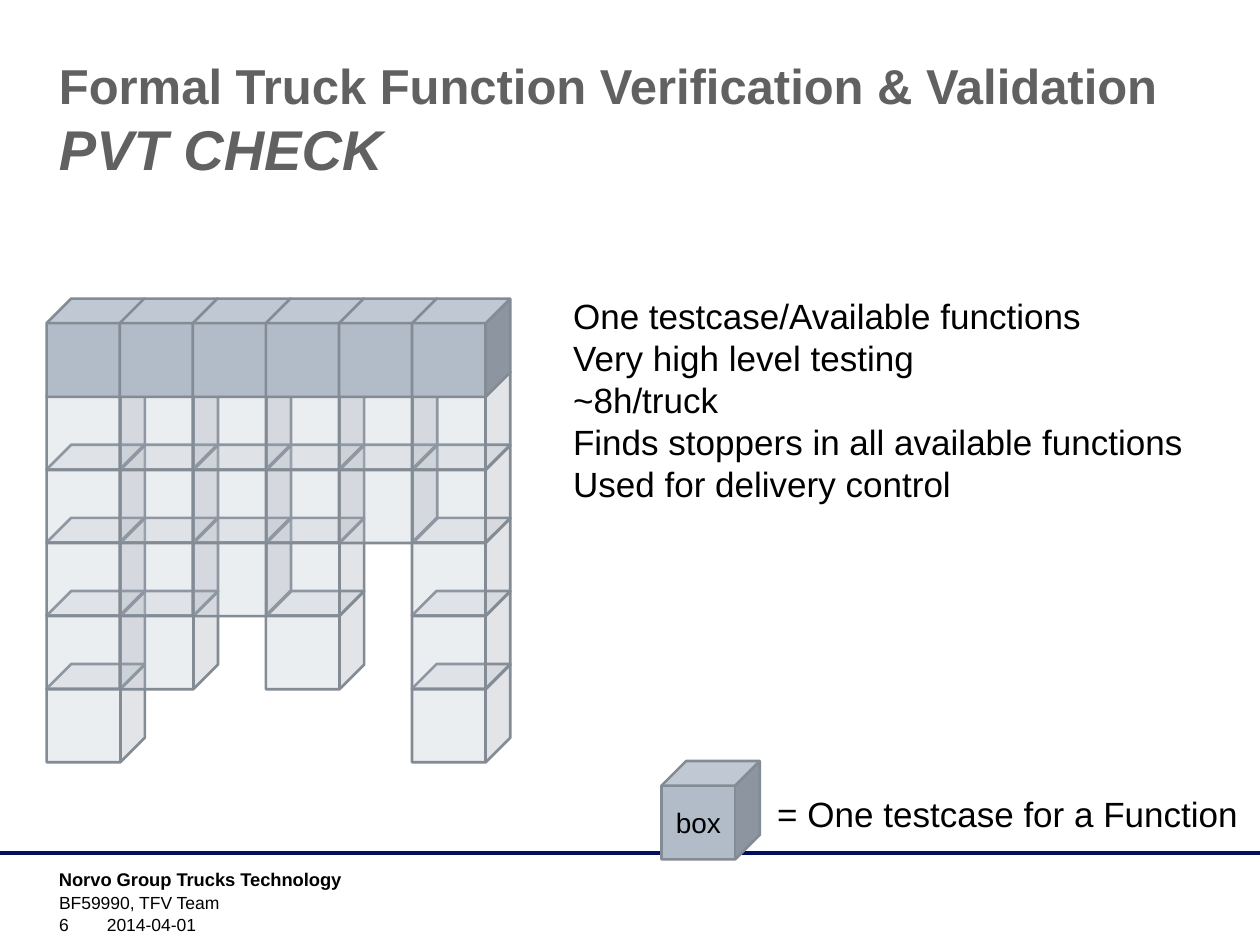
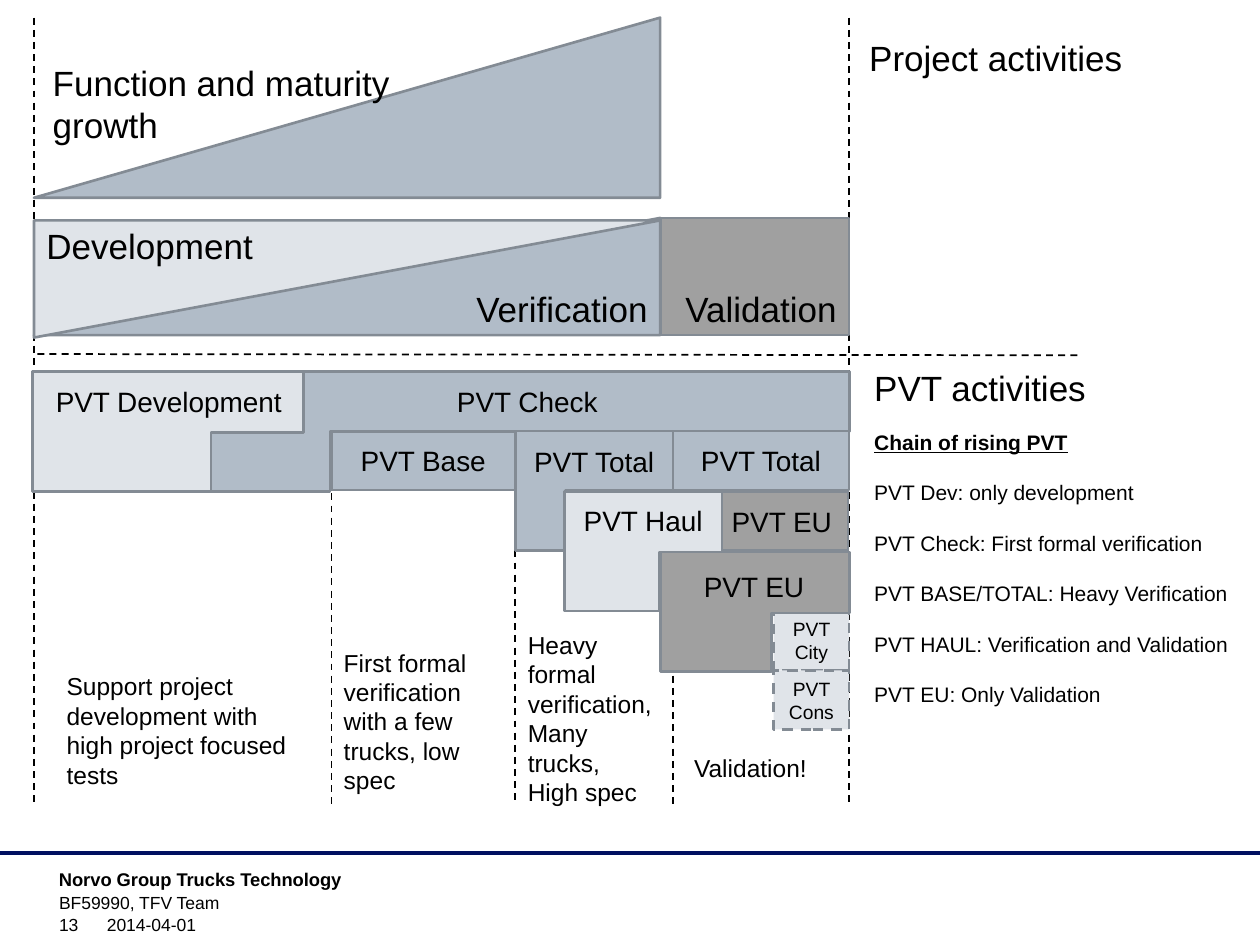
from lxml import etree
from pptx import Presentation
from pptx.dml.color import RGBColor
from pptx.enum.dml import MSO_LINE
from pptx.enum.shapes import MSO_CONNECTOR, MSO_SHAPE
from pptx.enum.text import MSO_ANCHOR, PP_ALIGN
from pptx.oxml.ns import qn
from pptx.util import Inches, Pt

CUBE, RECT = MSO_SHAPE.CUBE, MSO_SHAPE.RECTANGLE
WEDGE, ELL = MSO_SHAPE.RIGHT_TRIANGLE, MSO_SHAPE.CORNER
STRAIGHT = MSO_CONNECTOR.STRAIGHT
DASH = MSO_LINE.DASH
LEFT, MID, RIGHT = PP_ALIGN.LEFT, PP_ALIGN.CENTER, PP_ALIGN.RIGHT
TOP, CORE, BASE = MSO_ANCHOR.TOP, MSO_ANCHOR.MIDDLE, MSO_ANCHOR.BOTTOM


class Theme:
    font = "Arial"
    ink = "000000"
    title = "616161"
    band = "000F60"
    edge = "838B94"
    steel = "B1BCC8"
    pale = "E0E4E9"
    gray = "A0A0A0"
    big, mid, body, list, tiny = 20, 16, 14, 12, 11
    foot = 10
    head = {"size": 28, "bold": True, "color": title}
    sub = {"size": 32, "bold": True, "italic": True, "color": title}
    unit = {"size": 10.5, "bold": True}
    key = {"size": 12, "bold": True, "underline": True}
    edge_w = 1.5


TITLE = [("Formal Truck Function Verification & Validation", Theme.head),
         ("PVT CHECK", Theme.sub)]
UNIT = "Norvo Group Trucks Technology"
TEAM = "BF59990, TFV Team"
DATE = "2014-04-01"

FACTS = ["One testcase/Available functions", "Very high level testing",
         "~8h/truck", "Finds stoppers in all available functions",
         "Used for delivery control"]
DEPTHS = [5, 4, 3, 4, 2, 5]
GRID = {"left": 0.37, "top": 2.37, "step": 0.58, "side": 0.78}

START, END = 0.27, 6.74
CUTS = [(START, 0.14, START, 6.39), (END, 0.14, END, 6.39),
        (2.63, 3.53, 2.63, 6.4), (4.09, 3.5, 4.09, 6.38),
        (5.34, 3.53, 5.34, 6.4), (8.55, 2.82, START, 2.81)]

BLOCKS = [
    (WEDGE, (START, 0.14, 4.97, 1.43), Theme.steel, {"flip": "flipH"}),
    (WEDGE, (START, 1.73, 4.97, 0.93), Theme.steel, {"flip": "flipH"}),
    (WEDGE, (START, 1.75, 4.97, 0.93), Theme.pale, {"flip": "flipV"}),
    (RECT, (5.24, 1.73, 1.5, 0.93), Theme.gray, {}),
    (RECT, (2.63, 3.42, 1.46, 0.47), Theme.steel, {"label": "PVT Base"}),
    (ELL, (1.67, 2.95, 5.07, 0.95), Theme.steel,
     {"flip": "flipV", "bends": (0.5, 1.0)}),
    (RECT, (5.34, 3.42, 1.4, 0.47), Theme.steel, {"label": "PVT Total"}),
    (ELL, (4.09, 3.42, 1.25, 0.95), Theme.steel,
     {"flip": "flipV", "bends": (0.5, 0.42)}),
    (RECT, (5.68, 3.9, 1.05, 0.47), Theme.gray, {"label": "PVT EU"}),
    (ELL, (4.48, 3.9, 1.25, 0.95), Theme.pale,
     {"flip": "flipV", "bends": (0.51, 0.79)}),
    (RECT, (6.14, 4.85, 0.6, 0.47), Theme.pale,
     {"label": "PVT City", "size": Theme.tiny, "dash": DASH}),
    (RECT, (6.14, 5.32, 0.6, 0.47), Theme.pale,
     {"label": "PVT Cons", "size": Theme.tiny, "dash": DASH}),
    (ELL, (5.24, 4.38, 1.5, 0.95), Theme.gray,
     {"flip": "flipV", "bends": (0.51, 0.93)}),
    (ELL, (0.26, 2.95, 2.15, 0.95), Theme.pale,
     {"flip": "flipV", "bends": (0.51, 1.49)}),
]

LABELS = [
    ((0.32, 0.44, 3.43, 0.77), ["Function and maturity growth"], Theme.big, LEFT),
    ((1.81, 2.23, 3.43, 0.44), ["Verification"], Theme.big, RIGHT),
    ((START, 1.73, 3.43, 0.44), ["Development"], Theme.big, LEFT),
    ((3.31, 2.23, 3.43, 0.44), ["Validation"], Theme.big, RIGHT),
    ((1.63, 3, 5.11, 0.37), ["PVT Check"], Theme.mid, MID),
    ((4.09, 3.48, 1.25, 0.37), ["PVT Total"], Theme.mid, MID),
    ((4.48, 3.95, 1.25, 0.37), ["PVT Haul"], Theme.mid, MID),
    ((5.36, 4.47, 1.25, 0.37), ["PVT EU"], Theme.mid, MID),
    ((0.32, 3, 2.04, 0.37), ["PVT Development"], Theme.mid, MID),
    ((0.43, 5.28, 2.08, 1.04),
     ["Support project development with high project focused tests"],
     Theme.body, LEFT),
    ((2.63, 5.09, 1.46, 1.28),
     ["First formal verification with a few trucks, low spec"],
     Theme.body, LEFT),
    ((4.09, 4.95, 1.25, 1.51),
     ["Heavy formal verification,", "Many trucks,", "High spec"],
     Theme.body, LEFT),
    ((5.41, 5.93, 1.25, 0.34), ["Validation!"], Theme.body, LEFT),
    ((6.8, 0.24, 3.16, 0.44), ["Project activities"], Theme.big, LEFT),
    ((6.84, 2.86, 3.16, 0.44), ["PVT activities"], Theme.big, LEFT),
]

CHAIN = [("Chain of rising PVT", Theme.key), "PVT Dev: only development",
         "PVT Check: First formal verification",
         "PVT BASE/TOTAL: Heavy Verification",
         "PVT HAUL: Verification and Validation",
         "PVT EU: Only Validation"]


def rgb(code):
    return RGBColor.from_string(code)


def put(item, values):
    for name, value in values.items():
        setattr(item, name, value)


def place(box):
    return [Inches(n) for n in box]


def write(frame, lines, size, align=LEFT, anchor=TOP, gap=0):
    put(frame, {"word_wrap": True, "vertical_anchor": anchor})
    for i, line in enumerate(lines):
        words, style = line if isinstance(line, tuple) else (line, {})
        para = frame.paragraphs[0] if i == 0 else frame.add_paragraph()
        put(para, {"alignment": align, "space_before": Pt(gap if i else 0)})
        run = para.add_run()
        run.text = words
        look = {"size": size, "color": Theme.ink, **style}
        run.font.color.rgb = rgb(look.pop("color"))
        put(run.font, {"name": Theme.font, **look, "size": Pt(look["size"])})


def text(slide, box, lines, size, **opts):
    frame = slide.shapes.add_textbox(*place(box)).text_frame
    write(frame, lines, size, **opts)


def block(slide, kind, box, fill, flip=None, bends=(), label=None,
          size=Theme.mid, dash=None, alpha=None):
    shape = slide.shapes.add_shape(kind, *place(box))
    shape.shadow.inherit = False
    shape.fill.solid()
    shape.fill.fore_color.rgb = rgb(fill)
    props = shape._element.spPr
    if alpha:
        tint = props.find(".//" + qn("a:srgbClr"))
        etree.SubElement(tint, qn("a:alpha"), val=str(alpha * 1000))
    if flip:
        props.find(qn("a:xfrm")).set(flip, "1")
    for i, bend in enumerate(bends):
        shape.adjustments[i] = bend
    shape.line.color.rgb = rgb(Theme.edge)
    put(shape.line, {"width": Pt(Theme.edge_w), "dash_style": dash})
    if label:
        write(shape.text_frame, [label], size, align=MID, anchor=CORE)


def rule(slide, ends, color, width, dash=None):
    line = slide.shapes.add_connector(STRAIGHT, *place(ends))
    line.line.color.rgb = rgb(color)
    put(line.line, {"width": Pt(width), "dash_style": dash})
    etree.SubElement(line._element.spPr, qn("a:effectLst"))


def page(deck, number):
    slide = deck.slides.add_slide(deck.slide_layouts[6])
    rule(slide, (0, 6.77, 10, 6.77), Theme.band, 2)
    text(slide, (0.37, 6.84, 3, 0.24), [(UNIT, Theme.unit)], Theme.foot)
    text(slide, (0.37, 7.03, 7.52, 0.24), [TEAM], Theme.foot)
    for left, width, words in [(0.37, 0.55, str(number)), (0.75, 2.63, DATE)]:
        text(slide, (left, 7.24, width, 0.23), [words], Theme.foot, anchor=BASE)
    return slide


def check(deck):
    slide = page(deck, 6)
    text(slide, (0.37, 0.39, 9.3, 1.25), TITLE, Theme.big)
    left, top, step, side = GRID.values()
    for row in range(max(DEPTHS), -1, -1):
        for col, depth in enumerate(DEPTHS):
            if row <= depth:
                box = (left + col * step, top + row * step, side, side)
                block(slide, CUBE, box, Theme.steel, alpha=25 if row else None)
    block(slide, CUBE, (5.25, 6.04, side, side), Theme.steel, label="box")
    text(slide, (6.07, 6.24, 3.92, 0.44), ["= One testcase for a Function"],
         Theme.big)
    text(slide, (4.45, 2.29, 5.15, 1.78), FACTS, Theme.big)


def chain(deck):
    slide = page(deck, 13)
    for ends in CUTS:
        rule(slide, ends, Theme.ink, 1, DASH)
    for kind, box, fill, opts in BLOCKS:
        block(slide, kind, box, fill, **opts)
    for box, lines, size, align in LABELS:
        text(slide, box, lines, size, align=align)
    text(slide, (6.84, 3.36, 3.16, 2.32), CHAIN, Theme.list, gap=14.4)


def main():
    deck = Presentation()
    put(deck, {"slide_width": Inches(10), "slide_height": Inches(7.5)})
    check(deck)
    chain(deck)
    deck.save("out.pptx")


if __name__ == "__main__":
    main()
